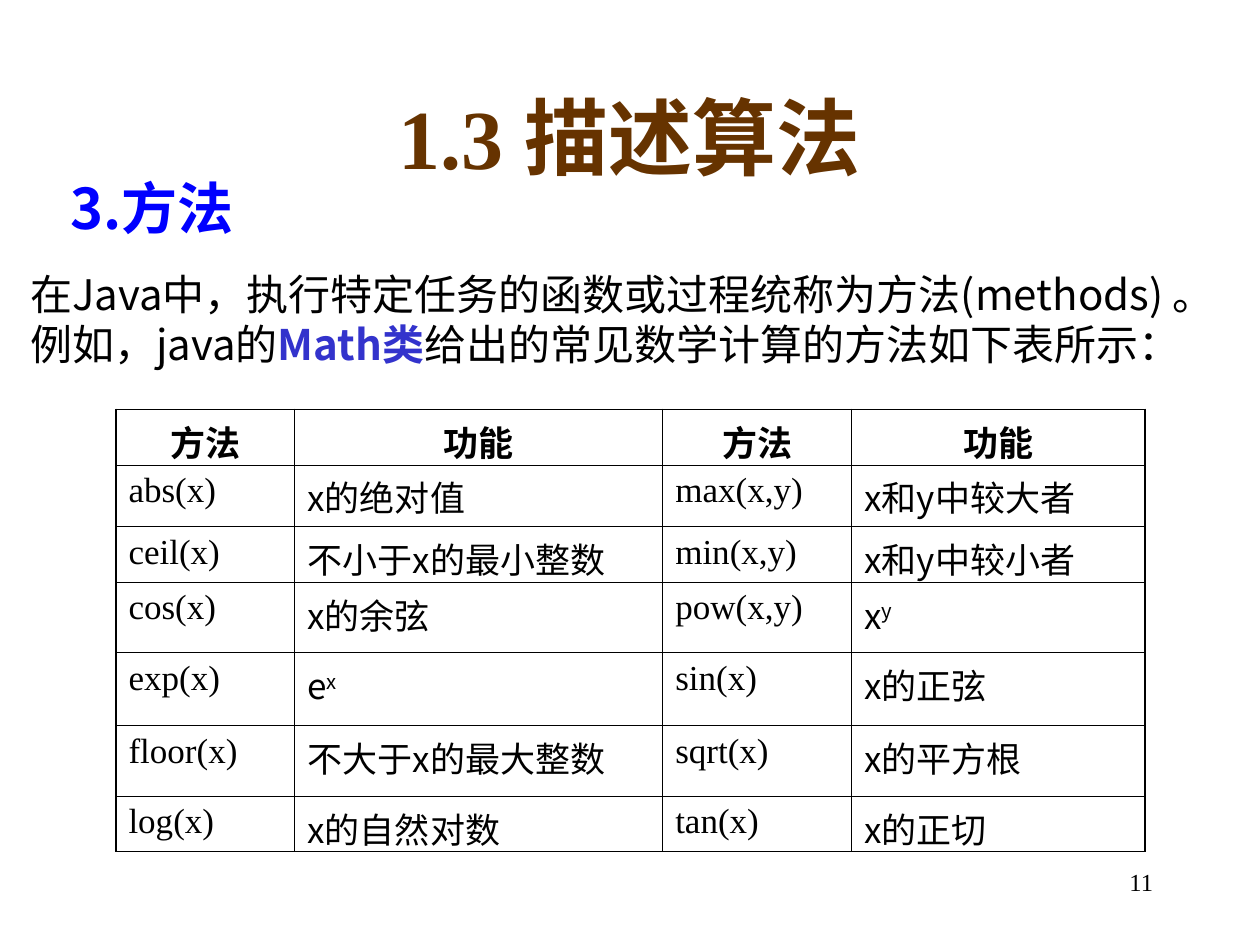
from lxml.etree import SubElement
from pptx import Presentation
from pptx.dml.color import RGBColor
from pptx.enum.text import MSO_ANCHOR, MSO_AUTO_SIZE, PP_ALIGN
from pptx.oxml.ns import qn
from pptx.util import Inches, Pt

SERIF = "Times New Roman"
SANS = "Noto Sans CJK SC"
BLACK = "000000"
BLUE_VIOLET = "3333CC"
COLUMN_WIDTHS = [1.42, 2.92, 1.5, 2.33]
ROW_HEIGHTS = [0.44, 0.49, 0.44, 0.56, 0.58, 0.56, 0.44]
MATH_METHODS = [
    ["方法", "功能", "方法", "功能"],
    ["abs(x)", "x的绝对值", "max(x,y)", "x和y中较大者"],
    ["ceil(x)", "不小于x的最小整数", "min(x,y)", "x和y中较小者"],
    ["cos(x)", "x的余弦", "pow(x,y)", "x^y"],
    ["exp(x)", "e^x", "sin(x)", "x的正弦"],
    ["floor(x)", "不大于x的最大整数", "sqrt(x)", "x的平方根"],
    ["log(x)", "x的自然对数", "tan(x)", "x的正切"],
]


def color(hex_code):
    return RGBColor.from_string(hex_code)


def add_run(paragraph, words, size, font, hex_code=BLACK, bold=False):
    run = paragraph.add_run()
    run.text = words
    run.font.size = Pt(size)
    run.font.name = font
    run.font.bold = bold
    run.font.color.rgb = color(hex_code)
    SubElement(run.font._element, qn("a:ea"), typeface=SANS)
    return run


def add_text(slide, box, lines, align=PP_ALIGN.LEFT, wrap=True):
    frame = slide.shapes.add_textbox(*map(Inches, box)).text_frame
    frame.word_wrap = wrap
    frame.auto_size = MSO_AUTO_SIZE.NONE if wrap else MSO_AUTO_SIZE.SHAPE_TO_FIT_TEXT
    for index, line in enumerate(lines):
        paragraph = frame.add_paragraph() if index else frame.paragraphs[0]
        paragraph.alignment = align
        for run in line:
            add_run(paragraph, *run)
    return frame


def set_border(cell, side, width):
    line = SubElement(cell._tc.get_or_add_tcPr(), qn(f"a:ln{side}"), w=str(Pt(width)))
    fill = SubElement(line, qn("a:solidFill"))
    SubElement(fill, qn("a:srgbClr"), val=BLACK)


def fill_cell(cell, entry, is_header, font):
    paragraph = cell.text_frame.paragraphs[0]
    paragraph.alignment = PP_ALIGN.CENTER if is_header else PP_ALIGN.JUSTIFY
    paragraph.space_before = Pt(5)
    base, _, exponent = entry.partition("^")
    add_run(paragraph, base, 20, font, bold=is_header)
    if exponent:
        power = add_run(paragraph, exponent, 20, font)
        power.font._element.set("baseline", "30000")


def add_method_table(slide):
    last_row, last_column = len(ROW_HEIGHTS) - 1, len(COLUMN_WIDTHS) - 1
    frame = slide.shapes.add_table(
        len(ROW_HEIGHTS), len(COLUMN_WIDTHS), Inches(0.92), Inches(3.25),
        Inches(sum(COLUMN_WIDTHS)), Inches(sum(ROW_HEIGHTS)))
    table = frame.table
    table.first_row = table.horz_banding = False
    for column, width in zip(table.columns, COLUMN_WIDTHS):
        column.width = Inches(width)
    for row, height in zip(table.rows, ROW_HEIGHTS):
        row.height = Inches(height)
    for r, entries in enumerate(MATH_METHODS):
        for c, entry in enumerate(entries):
            cell = table.cell(r, c)
            cell.margin_left = cell.margin_right = Inches(0.1)
            cell.margin_top = cell.margin_bottom = Inches(0.05)
            font = SERIF if r == 0 or c % 2 == 0 else SANS
            fill_cell(cell, entry, r == 0, font)
            outer_edges = {"L": c == 0, "R": c == last_column, "T": r == 0, "B": r == last_row}
            for side, is_outer in outer_edges.items():
                set_border(cell, side, 1.08 if is_outer else 0.45)
            cell.fill.background()


def main():
    presentation = Presentation()
    presentation.slide_width = Inches(10)
    presentation.slide_height = Inches(7.5)
    slide = presentation.slides.add_slide(presentation.slide_layouts[6])

    add_text(slide, (7.17, 6.83, 2.08, 0.5), [[("11", 14, SERIF)]], PP_ALIGN.RIGHT)
    title = add_text(slide, (0.75, 0.58, 8.5, 1),
                     [[("1.3\t描述算法", 48, SERIF, "663300", True)]], PP_ALIGN.CENTER)
    title.vertical_anchor = MSO_ANCHOR.MIDDLE
    add_text(slide, (0.46, 1.33, 1.66, 0.64),
             [[("3.方法", 32, SANS, "0000FF", True), (" ", 18, "Arial", BLUE_VIOLET)]], wrap=False)
    add_text(slide, (0.14, 2.08, 10.18, 0.9), [
        [("在Java中，执行特定任务的函数或过程统称为方法(methods) ", 24, SANS), ("。", 24, "Arial")],
        [("例如，java的", 24, SANS), ("Math类", 24, SANS, BLUE_VIOLET, True),
         ("给出的常见数学计算的方法如下表所示：", 24, SANS)],
    ], wrap=False)
    add_method_table(slide)
    presentation.save("out.pptx")


if __name__ == "__main__":
    main()
